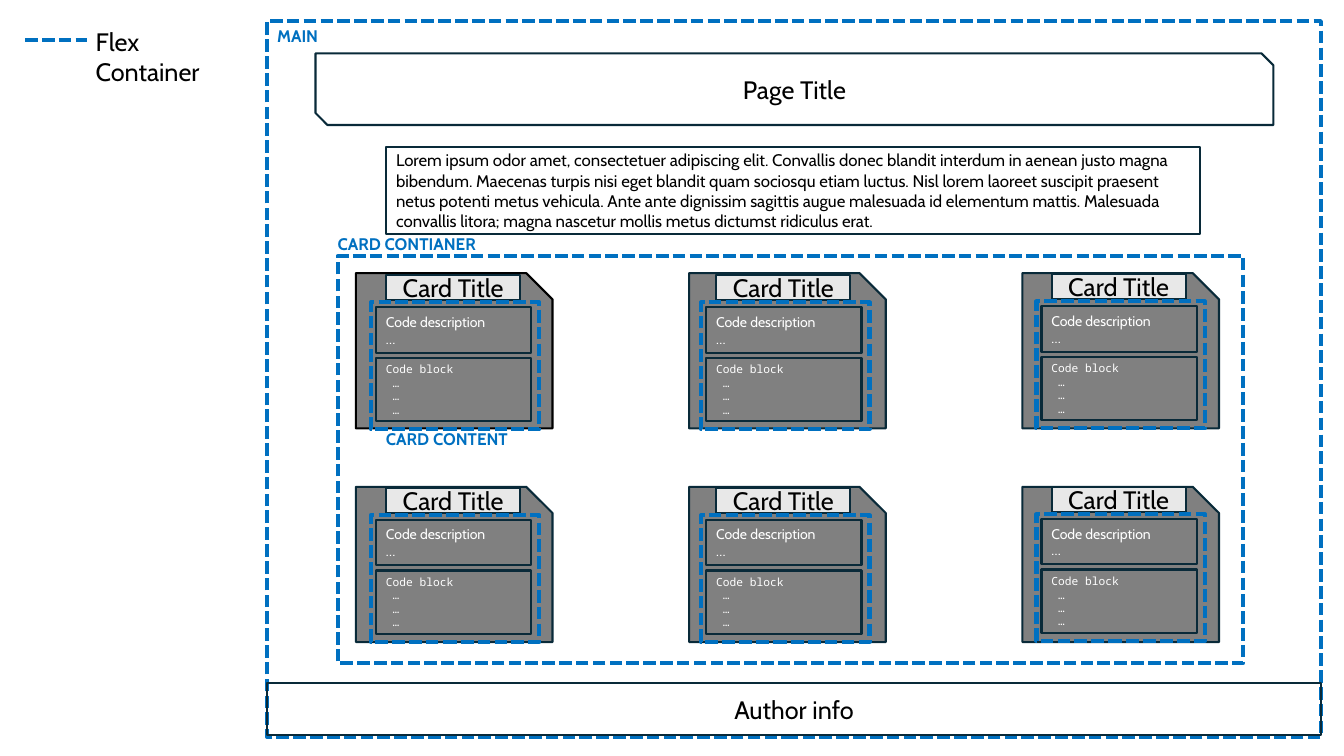
from lxml.etree import SubElement
from pptx import Presentation
from pptx.dml.color import RGBColor
from pptx.enum.dml import MSO_LINE_DASH_STYLE as Dash
from pptx.enum.shapes import MSO_CONNECTOR as Connector, MSO_SHAPE as Shape
from pptx.enum.text import MSO_ANCHOR as Anchor, PP_ALIGN as Align
from pptx.oxml.ns import qn
from pptx.util import Inches, Pt

COLORS = {
    "flex": "0070C0",
    "outline": "092A39",
    "card": "808080",
    "title": "E8E8E8",
    "black": "000000",
    "white": "FFFFFF",
}
SANS, MONO = "Cabin", "Noto Sans Mono"
INTRO = (
    "Lorem ipsum odor amet, consectetuer adipiscing elit. Convallis donec blandit "
    "interdum in aenean justo magna bibendum. Maecenas turpis nisi eget blandit quam "
    "sociosqu etiam luctus. Nisl lorem laoreet suscipit praesent netus potenti metus "
    "vehicula. Ante ante dignissim sagittis augue malesuada id elementum mattis. "
    "Malesuada convallis litora; magna nascetur mollis metus dictumst ridiculus erat."
)


def rgb(name):
    return RGBColor.from_string(COLORS[name])


def style_line(line, color, width, dash=None):
    line.color.rgb = rgb(color)
    line.width = Pt(width)
    if dash:
        line.dash_style = dash


def style_shape(shape, fill=None, color="outline", width=1.5, dash=None):
    shape.shadow.inherit = False
    if fill:
        shape.fill.solid()
        shape.fill.fore_color.rgb = rgb(fill)
    else:
        shape.fill.background()
    style_line(shape.line, color, width, dash)


def write(frame, lines, size, color="black", font=SANS, align=Align.LEFT, bold=False):
    """Put one paragraph per line into the text frame."""
    frame.word_wrap = True
    for index, line in enumerate(lines):
        para = frame.add_paragraph() if index else frame.paragraphs[0]
        para.alignment = align
        span = para.add_run()
        span.text = line
        span.font.size = Pt(size)
        span.font.name = font
        span.font.bold = bold
        span.font.color.rgb = rgb(color)


def add_box(page, area, lines, size, fill=None, kind=Shape.RECTANGLE, **text_style):
    box = page.shapes.add_shape(kind, *map(Inches, area))
    style_shape(box, fill)
    box.text_frame.vertical_anchor = Anchor.MIDDLE
    write(box.text_frame, lines, size, **text_style)


def add_flex_frame(page, area):
    """Dashed outline that marks a flex container."""
    frame = page.shapes.add_shape(Shape.RECTANGLE, *map(Inches, area))
    style_shape(frame, color="flex", width=3, dash=Dash.SQUARE_DOT)


def add_label(page, area, text, size=12, color="flex", bold=True):
    label = page.shapes.add_textbox(*map(Inches, area))
    write(label.text_frame, [text], size, color, bold=bold)


def add_legend(page, left, top):
    key = page.shapes.add_connector(
        Connector.STRAIGHT, *map(Inches, (left, top + 0.19, left + 0.61, top + 0.19)))
    style_line(key.line, "flex", 3, Dash.SQUARE_DOT)
    SubElement(key._element.spPr, qn("a:effectLst"))
    add_label(page, (left + 0.6, top, 1.51, 0.71), "Flex Container", 18, "black", False)


def add_main(page, left, top, width, height):
    """Outer container with page title, introduction and author bar."""
    add_flex_frame(page, (left, top, width, height))
    add_box(page, (left + 0.48, top + 0.32, 9.5, 0.71), ["Page Title"], 18,
            kind=Shape.SNIP_2_DIAG_RECTANGLE, align=Align.CENTER)
    add_box(page, (left, top + 6.57, width, 0.51), ["Author info"], 18, align=Align.CENTER)
    add_box(page, (left + 1.18, top + 1.25, 8.07, 0.86), [INTRO], 12)
    add_label(page, (left, top, 1.17, 0.3), "MAIN")


def add_card_shell(page, left, top, outline):
    """Grey card with its top right corner cut off."""
    width, height, cut = 1.95, 1.54, 0.26
    corners = [(0, 0), (width - cut, 0), (width, cut), (width, height), (0, height)]
    points = [(Inches(left + x), Inches(top + y)) for x, y in corners]
    builder = page.shapes.build_freeform(*points[0])
    builder.add_line_segments(points[1:], close=True)
    style_shape(builder.convert_to_shape(), "card", outline)


def add_card_content(page, left, top):
    add_box(page, (left, top, 1.33, 0.25), ["Card Title"], 18, "title", align=Align.CENTER)
    add_box(page, (left - 0.1, top + 0.32, 1.54, 0.45), ["Code description", "…"], 10,
            "card", color="white")
    add_box(page, (left - 0.1, top + 0.82, 1.54, 0.63), ["Code block"] + [" …"] * 3, 8,
            "card", color="white", font=MONO)
    add_flex_frame(page, (left - 0.15, top + 0.27, 1.67, 1.26))


def add_card_container(page, left, top, width, height):
    columns = [(0.3, 0.02), (0.27, 0.02), (0.29, 0.01)]  # content offset in each column
    for row in range(2):
        for column, (shift, drop) in enumerate(columns):
            card_left = left + 0.18 + 3.305 * column
            card_top = top + 0.17 + 2.12 * row
            add_card_shell(page, card_left, card_top,
                           "outline" if row or column else "black")
            add_card_content(page, card_left + shift, card_top + drop - 0.01 * row)
    add_label(page, (left - 0.1, top - 0.27, 1.95, 0.3), "CARD CONTIANER")
    add_flex_frame(page, (left, top, width, height))
    add_label(page, (left + 0.38, top + 1.66, 1.95, 0.3), "CARD CONTENT")


def main():
    deck = Presentation()
    deck.slide_width, deck.slide_height = Inches(13.33), Inches(7.5)
    page = deck.slides.add_slide(deck.slide_layouts[6])
    add_main(page, 2.65, 0.21, 10.45, 7.1)
    add_legend(page, 0.25, 0.21)
    add_card_container(page, 3.35, 2.54, 8.98, 4.04)
    deck.save("out.pptx")


if __name__ == "__main__":
    main()
